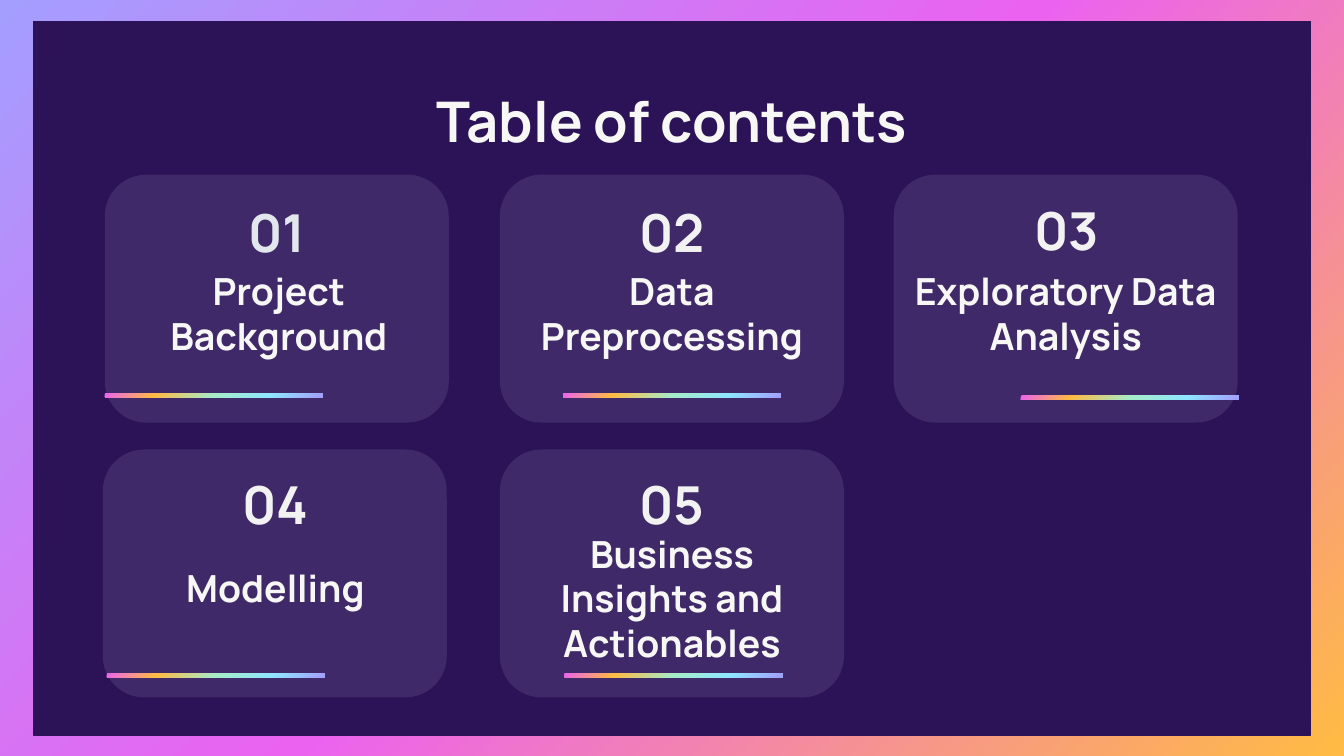
from pptx import Presentation
from pptx.dml.color import RGBColor
from pptx.enum.shapes import MSO_SHAPE
from pptx.enum.text import MSO_ANCHOR, PP_ALIGN
from pptx.oxml import parse_xml
from pptx.oxml.ns import nsdecls
from pptx.util import Pt

PX = 4572
FONT = "Manrope"
PANEL = RGBColor(0x2C, 0x12, 0x56)
CARD = RGBColor(0x40, 0x29, 0x68)
TEXT = RGBColor(0xF7, 0xF7, 0xF5)
NUMBER = RGBColor(0xF2, 0xF2, 0xF2)
FIRST_NUMBER = RGBColor(0xE1, 0xE7, 0xEC)
VIOLET = RGBColor(0xA4, 0x9E, 0xFF)
PINK = RGBColor(0xEB, 0x62, 0xF0)
AMBER = RGBColor(0xFF, 0xBB, 0x43)
MINT = RGBColor(0xA7, 0xEC, 0xC8)
SKY = RGBColor(0x8E, 0xE6, 0xFF)
FRAME_STOPS = [(0, VIOLET), (50, PINK), (100, AMBER)]
BAR_STOPS = [(0, PINK), (23, AMBER), (50, MINT), (76, SKY), (100, VIOLET)]

CARD_W, CARD_H = 512, 369
NUMBER_W, NUMBER_H = 228, 100
LABEL_H = 80
BAR_W, BAR_H = 324, 6
TOP, BOTTOM = 260, 669

CARDS = [
    ("01", "Project Background", (156, TOP), FIRST_NUMBER, (142, 34), (3, 166), (0, 325)),
    ("02", "Data Preprocessing", (744, TOP), NUMBER, (142, 34), (0, 166), (94, 325)),
    ("03", "Exploratory Data Analysis", (1330, TOP), NUMBER, (143, 32), (0, 166), (189, 329)),
    ("04", "Modelling", (153, BOTTOM), NUMBER, (143, 31), (1, 165), (6, 333)),
    ("05", "Business Insights and Actionables", (744, BOTTOM), NUMBER, (142, 31), (0, 181), (96, 333)),
]


def emu(*lengths):
    """Turn px lengths into EMU."""
    return [n * PX for n in lengths]


def set_gradient(fill, owner, stops):
    """Give a fill a diagonal gradient with any number of stops."""
    fill.gradient()
    fill.gradient_angle = 315
    stop_list = owner.xpath(".//a:gsLst")[0]
    for old in list(stop_list):
        stop_list.remove(old)
    for percent, color in stops:
        stop_list.append(parse_xml(
            f'<a:gs {nsdecls("a")} pos="{percent * 1000}">'
            f'<a:srgbClr val="{color}"/></a:gs>'))


def add_block(s, kind, box, color=None):
    """Add a shape without line or shadow."""
    sp = s.shapes.add_shape(kind, *emu(*box))
    sp.shadow.inherit = False
    sp.line.fill.background()
    if color is not None:
        sp.fill.solid()
        sp.fill.fore_color.rgb = color
    return sp


def add_text(s, box, text, size, color):
    """Add a bold centred text box."""
    tf = s.shapes.add_textbox(*emu(*box)).text_frame
    tf.word_wrap = True
    tf.vertical_anchor = MSO_ANCHOR.MIDDLE
    tf.margin_left, tf.margin_top, tf.margin_right, tf.margin_bottom = emu(20, 20, 20, 20)
    p = tf.paragraphs[0]
    p.text = text
    p.alignment = PP_ALIGN.CENTER
    p.font.name = FONT
    p.font.size = Pt(size)
    p.font.bold = True
    p.font.color.rgb = color


def add_frame(s, box):
    """Fill the background and lay the dark panel over it."""
    set_gradient(s.background.fill, s.element, FRAME_STOPS)
    sp = add_block(s, MSO_SHAPE.RECTANGLE, box, PANEL)
    sp.line.color.rgb = PANEL
    sp.line.width = Pt(0.75)


def add_card(s, x, y, number, label, color, number_at, label_at, bar_at):
    """Draw one numbered card from its top left corner."""
    add_block(s, MSO_SHAPE.ROUNDED_RECTANGLE, (x, y, CARD_W, CARD_H), CARD)
    add_text(s, (x + label_at[0], y + label_at[1], CARD_W, LABEL_H), label, 20, TEXT)
    add_text(s, (x + number_at[0], y + number_at[1], NUMBER_W, NUMBER_H), number, 28, color)
    bar = add_block(s, MSO_SHAPE.RECTANGLE, (x + bar_at[0], y + bar_at[1], BAR_W, BAR_H))
    set_gradient(bar.fill, bar.element, BAR_STOPS)


def main():
    """Build the contents slide."""
    prs = Presentation()
    prs.slide_width, prs.slide_height = emu(2000, 1125)
    s = prs.slides.add_slide(prs.slide_layouts[6])
    add_frame(s, (50, 32, 1900, 1062))
    add_text(s, (157, 116, 1686, 124), "Table of contents", 30, TEXT)
    for number, label, (x, y), color, *offsets in CARDS:
        add_card(s, x, y, number, label, color, *offsets)
    prs.save("out.pptx")


if __name__ == "__main__":
    main()
